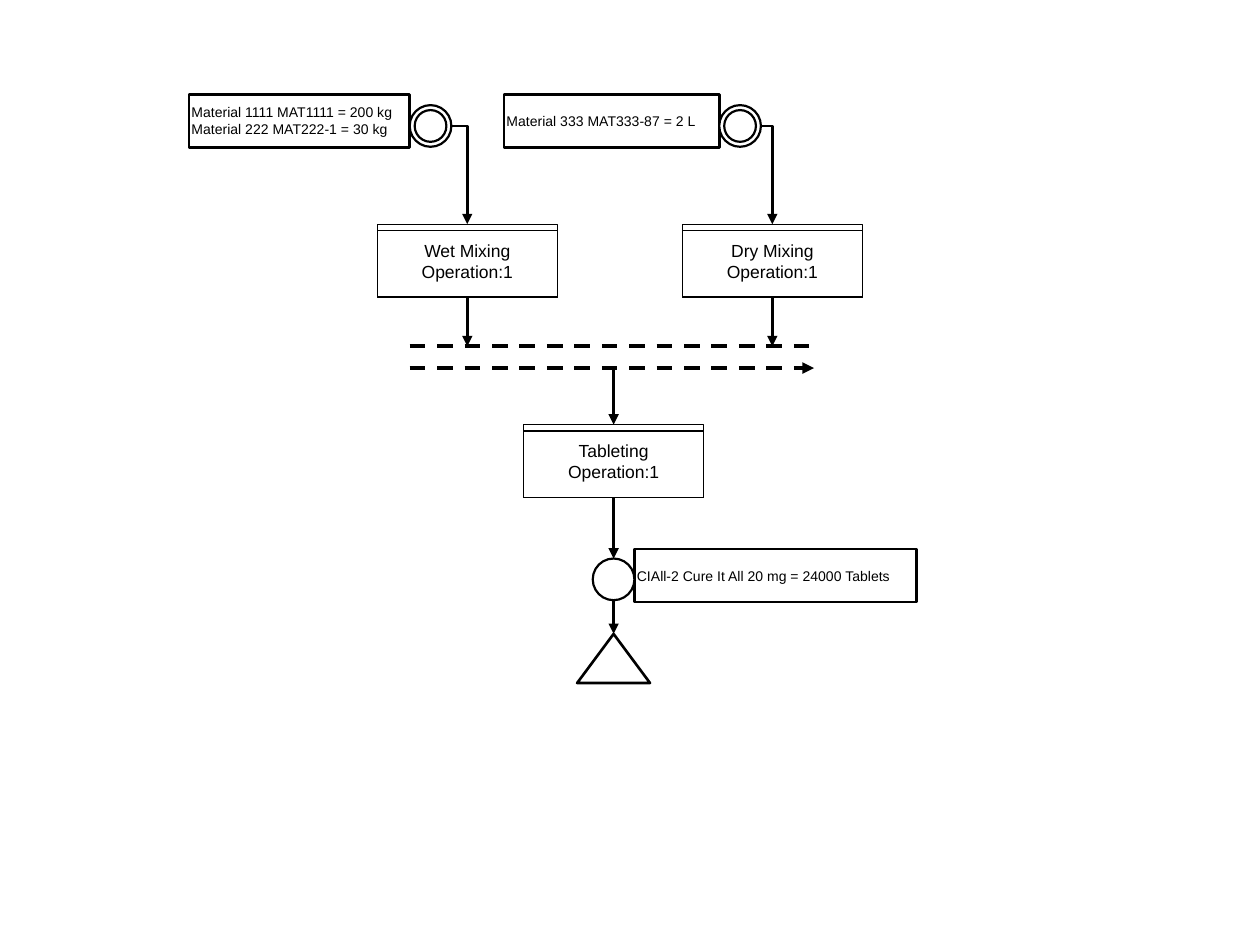
"""Build a flow diagram of tablet production: materials, operations and product."""
import pptx
import pptx.dml.color
import pptx.enum.dml
import pptx.enum.shapes
import pptx.enum.text
import pptx.oxml.ns
import pptx.util
from lxml import etree

Cm, Pt = pptx.util.Cm, pptx.util.Pt
SHAPE = pptx.enum.shapes.MSO_SHAPE
CONNECTOR = pptx.enum.shapes.MSO_CONNECTOR
ALIGN = pptx.enum.text.PP_ALIGN
qn = pptx.oxml.ns.qn
COLORS = {"ink": "000000", "paper": "FFFFFF"}
ink = pptx.dml.color.RGBColor.from_string(COLORS["ink"])
paper = pptx.dml.color.RGBColor.from_string(COLORS["paper"])

deck = pptx.Presentation()
deck.slide_width, deck.slide_height = Cm(25.4), Cm(19.05)
slide = deck.slides.add_slide(deck.slide_layouts[6])


def add_node(kind, left, top, width, height, weight, lines=(), size=8,
             align=ALIGN.LEFT, margins=(0.05, 0.05), filled=True):
    node = slide.shapes.add_shape(kind, Cm(left), Cm(top), Cm(width), Cm(height))
    node.shadow.inherit = False
    if filled:
        node.fill.solid()
        node.fill.fore_color.rgb = paper
    else:
        node.fill.background()
    node.line.color.rgb = ink
    node.line.width = Pt(weight)
    frame = node.text_frame
    frame.word_wrap = True
    frame.vertical_anchor = pptx.enum.text.MSO_ANCHOR.MIDDLE
    frame.margin_left = frame.margin_right = Cm(margins[0])
    frame.margin_top = frame.margin_bottom = Cm(margins[1])
    for number, line in enumerate(lines):
        paragraph = frame.add_paragraph() if number else frame.paragraphs[0]
        paragraph.alignment = align
        run = paragraph.add_run()
        run.text = line
        run.font.name, run.font.size = "Arial", Pt(size)
        run.font.color.rgb = ink
    return node


def add_flow(x1, y1, x2, y2, kind=CONNECTOR.STRAIGHT, weight=1.5, dashed=False, arrow=True):
    flow = slide.shapes.add_connector(kind, Cm(x1), Cm(y1), Cm(x2), Cm(y2))
    flow.line.color.rgb = ink
    flow.line.width = Pt(weight)
    if dashed:
        flow.line.dash_style = pptx.enum.dml.MSO_LINE.DASH
    if arrow:
        etree.SubElement(flow.line._get_or_add_ln(), qn("a:tailEnd"), type="triangle")
    if kind == CONNECTOR.ELBOW:
        flow._element.spPr.find(qn("a:prstGeom")).set("prst", "bentConnector2")
    etree.SubElement(flow._element.spPr, qn("a:effectLst"))
    return flow


label_height, circle, ring_gap = 1.07, 0.84, 0.1
box_width, box_height, strip = 3.63, 1.47, 0.13
wet_x, dry_x, main_x = 9.42, 15.57, 12.37
mixing_top, tableting_top = 4.52, 8.56
material_y, product_y = 2.54, 11.68
sync_left, sync_right, sync_in, sync_out = 8.26, 16.41, 6.98, 7.42
triangle_top, triangle_width, triangle_height = 12.78, 1.47, 0.99

operations = {}
for name, center, top in [
    ("Wet Mixing", wet_x, mixing_top),
    ("Dry Mixing", dry_x, mixing_top),
    ("Tableting", main_x, tableting_top),
]:
    left = center - box_width / 2
    operations[name] = add_node(
        SHAPE.RECTANGLE, left, top, box_width, box_height, 0.75,
        [f"{name} Operation:1"], 10, ALIGN.CENTER, (0.25, 0.13))
    add_node(SHAPE.RECTANGLE, left, top + strip, box_width, box_height - strip, 0.75, filled=False)

for materials, left, width, center in [
    (["Material 1111 MAT1111 = 200 kg", "Material 222 MAT222-1 = 30 kg"], 3.81, 4.45, wet_x),
    (["Material 333 MAT333-87 = 2 L"], 10.16, 4.34, dry_x),
]:
    add_node(SHAPE.RECTANGLE, left, 1.9, width, label_height, 1.5, materials)
    for inset in (0, ring_gap):
        diameter = circle - 2 * inset
        add_node(SHAPE.OVAL, left + width + inset, material_y - diameter / 2,
                 diameter, diameter, 1.25)
    add_flow(left + width + circle, material_y, center, mixing_top, CONNECTOR.ELBOW)

add_node(SHAPE.RECTANGLE, main_x + circle / 2, 11.07, 5.69, label_height, 1.5,
         ["CIAll-2 Cure It All 20 mg = 24000 Tablets"])
add_node(SHAPE.OVAL, main_x - circle / 2, product_y - circle / 2, circle, circle, 1.25)
add_node(SHAPE.ISOSCELES_TRIANGLE, main_x - triangle_width / 2, triangle_top,
         triangle_width, triangle_height, 1.5)

for y, arrow in [(sync_in, False), (sync_out, True)]:
    add_flow(sync_left, y, sync_right, y, weight=2.25, dashed=True, arrow=arrow)

mixing_bottom, tableting_bottom = mixing_top + box_height, tableting_top + box_height
for name, center, start, end in [
    ("Wet Mixing", wet_x, mixing_bottom, sync_in),
    ("Dry Mixing", dry_x, mixing_bottom, sync_in),
    ("Tableting", main_x, tableting_bottom, product_y - circle / 2),
]:
    add_flow(center, start, center, end).begin_connect(operations[name], 2)
add_flow(main_x, sync_out, main_x, tableting_top).end_connect(operations["Tableting"], 0)
add_flow(main_x, product_y + circle / 2, main_x, triangle_top)

deck.save("out.pptx")
